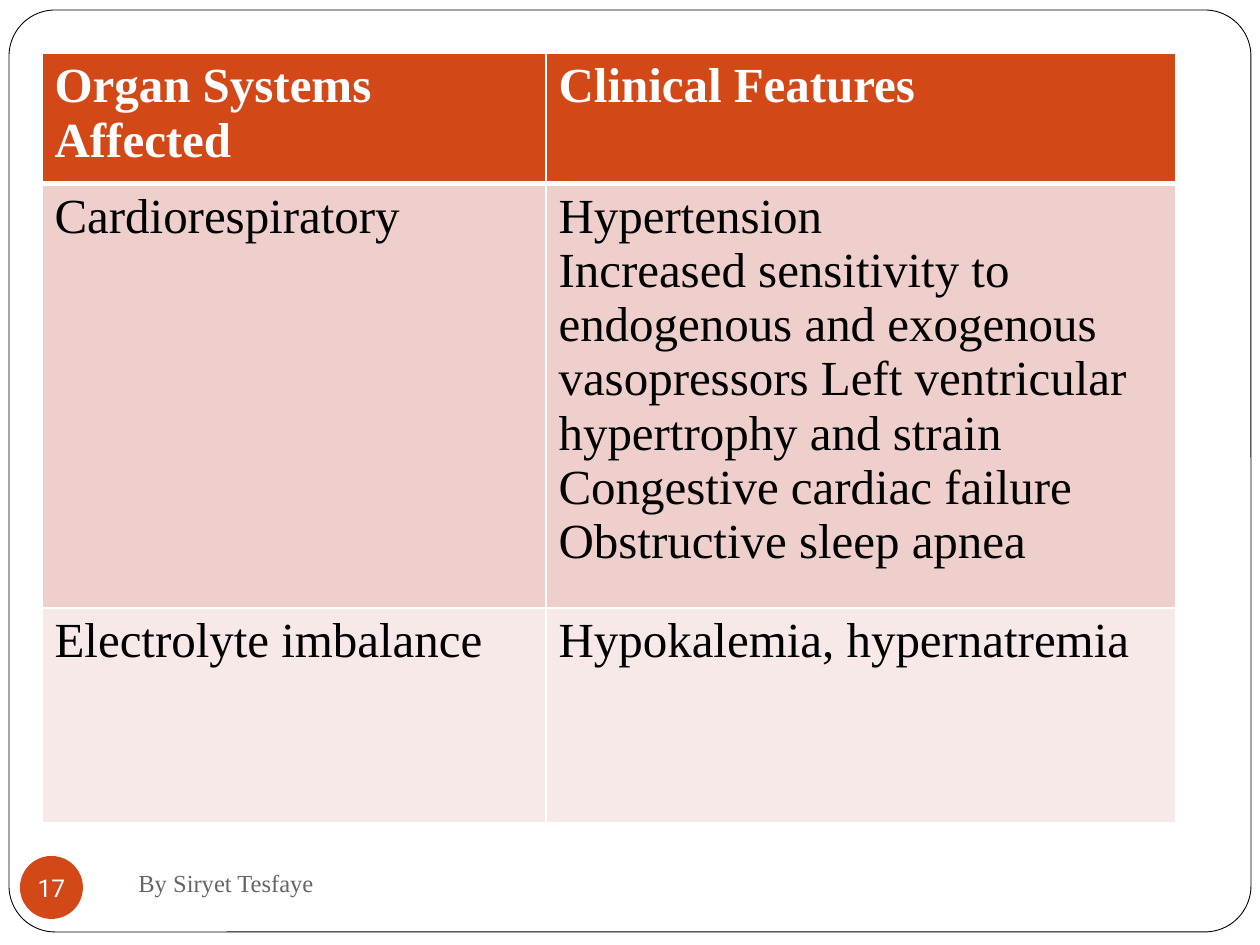
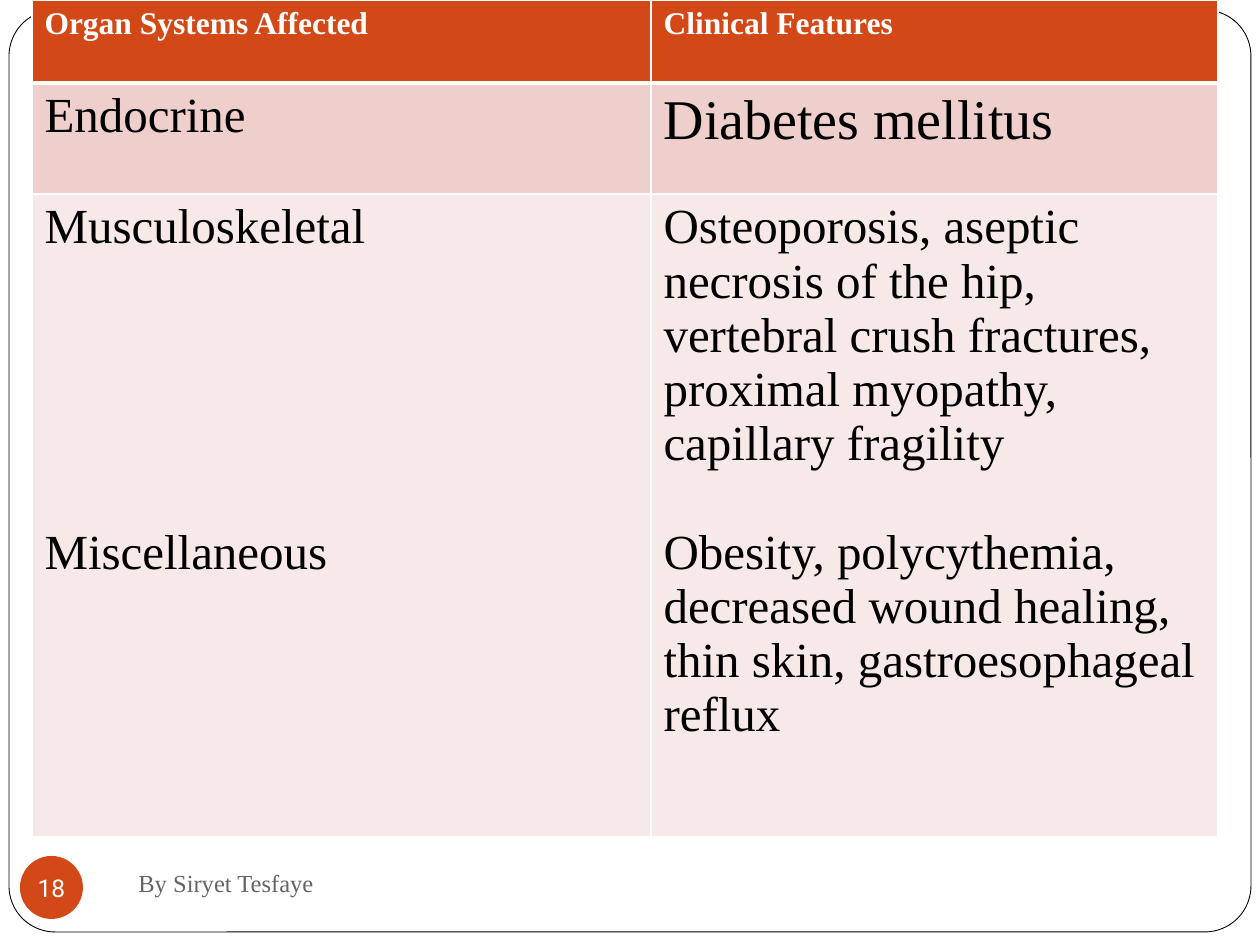
"""Builds two slides of tables listing clinical features by organ system."""
from lxml import etree
from pptx import Presentation
from pptx.dml.color import RGBColor
from pptx.enum.shapes import MSO_SHAPE
from pptx.enum.text import MSO_ANCHOR, PP_ALIGN
from pptx.oxml.ns import qn
from pptx.util import Pt

PX = 914400 / 126
WHITE = RGBColor(0xFF, 0xFF, 0xFF)
BLACK = RGBColor(0x00, 0x00, 0x00)
GREY = RGBColor(0x69, 0x64, 0x64)
ORANGE = RGBColor(0xD3, 0x48, 0x17)
BANDS = (RGBColor(0xEF, 0xCF, 0xCC), RGBColor(0xF7, 0xE9, 0xE8))
SERIF, SANS = "Times New Roman", "Roboto"
ROUND_RECT, OVAL = MSO_SHAPE.ROUNDED_RECTANGLE, MSO_SHAPE.OVAL
MIDDLE, CENTER = MSO_ANCHOR.MIDDLE, PP_ALIGN.CENTER
HEADINGS = ("Organ Systems Affected", "Clinical Features")
BODY_SIZE = 28
LINE_PT = 31


def px(*lengths):
    """Turn pixel lengths into EMU."""
    return [round(n * PX) for n in lengths]


def add_run(p, text, size, color, font=SERIF, bold=False):
    """Add one formatted run to a paragraph."""
    r = p.add_run()
    r.text = text
    r.font.size, r.font.name, r.font.bold = Pt(size), font, bold
    r.font.color.rgb = color


def add_plain_shape(s, kind, box, fill):
    """Add a filled preset shape without line or shadow."""
    sp = s.shapes.add_shape(kind, *px(*box))
    sp.shadow.inherit = False
    sp.fill.solid()
    sp.fill.fore_color.rgb = fill
    sp.line.fill.background()
    return sp


def add_frame(s):
    """Add the thin rounded frame around the slide."""
    sp = add_plain_shape(s, ROUND_RECT, (9, 10, 1242, 922), WHITE)
    sp.adjustments[0] = 0.05
    sp.line.color.rgb = BLACK
    sp.line.width = Pt(0.5)


def add_footer(s, number):
    """Add the author line and the numbered disc."""
    tf = s.shapes.add_textbox(*px(126, 851, 546, 63)).text_frame
    tf.word_wrap = True
    tf.vertical_anchor = MIDDLE
    add_run(tf.paragraphs[0], "By Siryet Tesfaye", 14, GREY)

    tf = add_plain_shape(s, OVAL, (20, 856, 63, 63), ORANGE).text_frame
    tf.margin_left = tf.margin_right = tf.margin_top = tf.margin_bottom = 0
    tf.word_wrap = False
    tf.vertical_anchor = MIDDLE
    tf.paragraphs[0].alignment = CENTER
    add_run(tf.paragraphs[0], str(number), 14, WHITE, SANS)


def add_borders(cell, top, bottom):
    """Give a cell white borders, with top and bottom widths in points."""
    tc_pr = cell._tc.get_or_add_tcPr()
    for side, width in (("L", 1), ("R", 1), ("T", top), ("B", bottom)):
        ln = etree.SubElement(tc_pr, qn("a:ln" + side), w=str(Pt(width)))
        fill = etree.SubElement(ln, qn("a:solidFill"))
        etree.SubElement(fill, qn("a:srgbClr"), val=str(WHITE))


def fill_cell(cell, paragraphs, row, size, gap_lines):
    """Write a cell's paragraphs and style it for its row."""
    header = row == 0
    add_borders(cell, 3 if row == 1 else 1, 3 if header else 1)
    cell.fill.solid()
    cell.fill.fore_color.rgb = ORANGE if header else BANDS[(row - 1) % 2]
    tf = cell.text_frame
    for i, text in enumerate(paragraphs):
        p = tf.add_paragraph() if i else tf.paragraphs[0]
        if i and gap_lines:
            p.space_before = Pt(gap_lines * LINE_PT)
        add_run(p, text, size, WHITE if header else BLACK, bold=header)


def add_feature_table(s, left, top, widths, heights, header_size, rows):
    """Add a table; each body cell is (paragraphs, size, gap in lines)."""
    header = [((text,), header_size, 0) for text in HEADINGS]
    rows = [header, *rows]
    box = px(left, top, sum(widths), sum(heights))
    table = s.shapes.add_table(len(rows), len(widths), *box).table
    table.horz_banding = False
    for column, width in zip(table.columns, px(*widths)):
        column.width = width
    for row, height in zip(table.rows, px(*heights)):
        row.height = height
    for i, cells in enumerate(rows):
        for j, (paragraphs, size, gap_lines) in enumerate(cells):
            fill_cell(table.cell(i, j), paragraphs, i, size, gap_lines)


def body(*paragraphs, size=BODY_SIZE, gap_lines=0):
    """Describe one body cell."""
    return paragraphs, size, gap_lines


def add_slide(prs, number):
    """Add a blank slide with the frame and footer."""
    s = prs.slides.add_slide(prs.slide_layouts[6])
    add_frame(s)
    add_footer(s, number)
    return s


def main():
    """Build and save the presentation."""
    prs = Presentation()
    prs.slide_width, prs.slide_height = px(1260, 945)

    s = add_slide(prs, 17)
    add_feature_table(s, 42, 53, (504, 630), (120, 393, 215), 28, [
        [body("Cardiorespiratory"),
         body("Hypertension",
              "Increased sensitivity to endogenous and exogenous vasopressors "
              "Left ventricular hypertrophy and strain Congestive cardiac "
              "failure Obstructive sleep apnea")],
        [body("Electrolyte imbalance"), body("Hypokalemia, hypernatremia")],
    ])

    s = add_slide(prs, 18)
    add_feature_table(s, 32, 0, (619, 567), (83, 111, 643), 18, [
        [body("Endocrine"), body("Diabetes mellitus", size=32)],
        [body("Musculoskeletal", "Miscellaneous", gap_lines=5),
         body("Osteoporosis, aseptic necrosis of the hip, vertebral crush "
              "fractures, proximal myopathy, capillary fragility",
              "Obesity, polycythemia, decreased wound healing, thin skin, "
              "gastroesophageal reflux", gap_lines=1)],
    ])

    prs.save("out.pptx")


if __name__ == "__main__":
    main()
